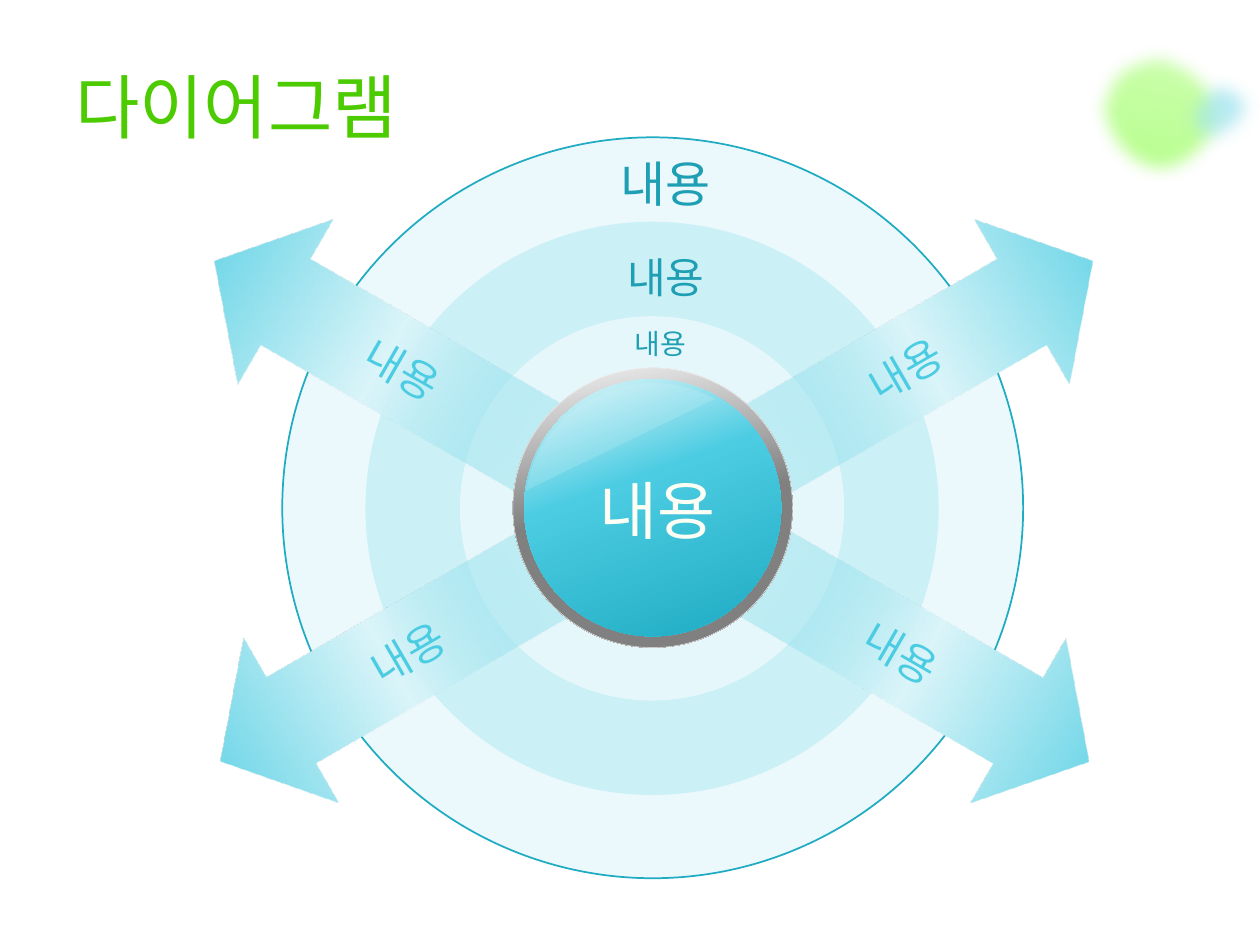
"""Build a slide of nested rings with four arrows leaving a glossy centre."""
from lxml import etree
from pptx import Presentation
from pptx.dml.color import RGBColor
from pptx.enum.shapes import MSO_SHAPE
from pptx.enum.text import MSO_ANCHOR, MSO_AUTO_SIZE, PP_ALIGN
from pptx.oxml.ns import qn
from pptx.util import Inches, Pt

OVAL, ARROW, CHORD = MSO_SHAPE.OVAL, MSO_SHAPE.RIGHT_ARROW, MSO_SHAPE.CHORD
MIDDLE, TOP = MSO_ANCHOR.MIDDLE, MSO_ANCHOR.TOP
CENTER, LEFT = PP_ALIGN.CENTER, PP_ALIGN.LEFT
GROW, FIXED = MSO_AUTO_SIZE.SHAPE_TO_FIT_TEXT, MSO_AUTO_SIZE.NONE
CYAN, TEAL, DEEP, PALE = "4BCCE2", "1FABC2", "1E9FB3", "DBF5F9"


def paint(shape, stops, angle=0, line=None, width=1):
    shape.shadow.inherit = False
    if len(stops) > 1:
        shape.fill.gradient()
        fill = shape.element.spPr.find(qn("a:gradFill"))
        fill.find(qn("a:lin")).set("ang", str(angle * 60000))
        ramp = fill.find(qn("a:gsLst"))
        for old in list(ramp):
            ramp.remove(old)
        for place, color, alpha in stops:
            stop = etree.SubElement(ramp, qn("a:gs"), pos=str(place * 1000))
            tint = etree.SubElement(stop, qn("a:srgbClr"), val=color)
            etree.SubElement(tint, qn("a:alpha"), val=str(alpha * 1000))
    else:
        place, color, alpha = stops[0]
        shape.fill.solid()
        shape.fill.fore_color.rgb = RGBColor.from_string(color)
        tint = shape.element.spPr.find(qn("a:solidFill"))[0]
        etree.SubElement(tint, qn("a:alpha"), val=str(alpha * 1000))
    if line:
        shape.line.color.rgb = RGBColor.from_string(line)
        shape.line.width = Pt(width)
    else:
        shape.line.fill.background()


def write(shape, text, size, color, font="Arial", align=LEFT, anchor=TOP,
          wrap=False, fit=FIXED):
    frame = shape.text_frame
    frame.word_wrap = wrap
    frame.auto_size = fit
    frame.vertical_anchor = anchor
    para = frame.paragraphs[0]
    para.alignment = align
    run = para.add_run()
    run.text = text
    run.font.size = Pt(size)
    run.font.name = font
    run.font.color.rgb = RGBColor.from_string(color)


deck = Presentation()
deck.slide_width, deck.slide_height = Inches(10), Inches(7.5)
shapes = deck.slides.add_slide(deck.slide_layouts[6]).shapes

green = [(9.74, 1.03), (9.71, 1.18), (9.74, 1.26), (9.49, 1.39),
         (9.36, 1.47), (9.21, 1.5), (9.06, 1.46), (8.91, 1.43), (8.78, 1.34),
         (8.7, 1.21), (8.65, 1.04), (8.59, 0.93), (8.63, 0.78), (8.66, 0.63),
         (8.75, 0.5), (8.88, 0.42), (9.06, 0.37), (9.18, 0.32), (9.31, 0.34),
         (9.43, 0.37), (9.55, 0.45), (9.63, 0.58), (9.71, 0.71), (9.78, 0.88),
         (9.74, 1.03)]
blue = [(9.97, 1.05), (10.03, 0.96), (10, 0.89), (9.99, 0.82), (9.98, 0.75),
        (9.97, 0.65), (9.91, 0.6), (9.85, 0.56), (9.71, 0.54), (9.62, 0.56),
        (9.54, 0.58), (9.45, 0.63), (9.39, 0.72), (9.32, 0.81), (9.32, 0.92),
        (9.34, 1.01), (9.35, 1.09), (9.4, 1.19), (9.46, 1.24), (9.53, 1.29),
        (9.64, 1.31), (9.71, 1.31), (9.78, 1.3), (9.81, 1.29), (9.87, 1.2),
        (9.87, 1.2), (9.97, 1.05), (9.97, 1.05)]
for points, box, turn, stops in [
    (green, (8.61, 0.33, 1.19, 1.15), 192.5,
     [(0, "B2FF84", 100), (100, "B2FF84", 58)]),
    (blue, (9.33, 0.52, 0.67, 0.78), 34.8,
     [(0, "8CDFEC", 100), (100, "B0E9F2", 36)]),
]:
    spots = [(Inches(x), Inches(y)) for x, y in points]
    pen = shapes.build_freeform(*spots[0])
    pen.add_line_segments(spots[3::3], close=True)
    blob = pen.convert_to_shape()
    left, top = blob.left, blob.top
    for i, edge in enumerate(list(blob.element.spPr.iter(qn("a:lnTo")))):
        bend = etree.Element(qn("a:cubicBezTo"))
        for x, y in spots[3 * i + 1:3 * i + 4]:
            etree.SubElement(bend, qn("a:pt"), x=str(x - left), y=str(y - top))
        edge.getparent().replace(edge, bend)
    blob.left, blob.top, blob.width, blob.height = [Inches(side) for side in box]
    blob.rotation = turn
    paint(blob, stops, 90)
    soft = blob.element.spPr.find(qn("a:effectLst"))
    etree.SubElement(soft, qn("a:softEdge"), rad=str(Inches(0.14)))

for left, top, size, color, alpha, line in [
    (2.24, 1.09, 5.88, CYAN, 10, TEAL),
    (2.9, 1.76, 4.55, CYAN, 20, None),
    (3.65, 2.51, 3.05, "FFFFFF", 50, None),
]:
    ring = shapes.add_shape(OVAL, Inches(left), Inches(top), Inches(size), Inches(size))
    paint(ring, [(0, color, alpha)], line=line)

title = shapes.add_textbox(Inches(0.5), Inches(0.33), Inches(9), Inches(1.01))
write(title, "다이어그램", 40, "4CCB00", font="DejaVu Sans", anchor=MIDDLE, wrap=True)

for left, top, turn, flip in [
    (5.75, 4.51, 30.1, None), (5.78, 2.09, 330, None),
    (1.54, 4.51, 150, "flipV"), (1.5, 2.09, 30, "flipH"),
]:
    arrow = shapes.add_shape(ARROW, Inches(left), Inches(top), Inches(3.1), Inches(1.51))
    arrow.adjustments[0], arrow.adjustments[1] = 0.52, 0.43
    arrow.rotation = turn
    if flip:
        arrow.element.spPr.find(qn("a:xfrm")).set(flip, "1")
    paint(arrow, [(0, CYAN, 0), (50, PALE, 100), (100, CYAN, 100)])
    write(arrow, "내용", 24, CYAN, align=CENTER, anchor=MIDDLE)

rim = shapes.add_shape(OVAL, Inches(4.07), Inches(2.92), Inches(2.22), Inches(2.22))
paint(rim, [(0, "F2F2F2", 100), (50, "808080", 100), (100, "808080", 100)],
      80, "F2F2F2", 0.25)
ball = shapes.add_shape(OVAL, Inches(4.16), Inches(3.01), Inches(2.04), Inches(2.04))
paint(ball, [(0, "EDFAFC", 100), (40, CYAN, 100), (100, TEAL, 100)], 70)
gloss = shapes.add_shape(CHORD, Inches(4.16), Inches(3.04), Inches(2.04), Inches(2.04))
gloss.adjustments[0], gloss.adjustments[1] = 59.63, 125.32
gloss.rotation = 90
paint(gloss, [(0, PALE, 20)])

for left, top, width, height, size, color in [
    (4.66, 3.69, 1.2, 0.71, 36, "FDFFF5"),
    (4.94, 2.54, 0.66, 0.37, 16, DEEP),
    (4.88, 1.95, 0.87, 0.49, 24, DEEP),
    (4.83, 1.17, 0.99, 0.57, 28, DEEP),
]:
    label = shapes.add_textbox(Inches(left), Inches(top), Inches(width), Inches(height))
    write(label, "내용", size, color, fit=GROW)

deck.save("out.pptx")
